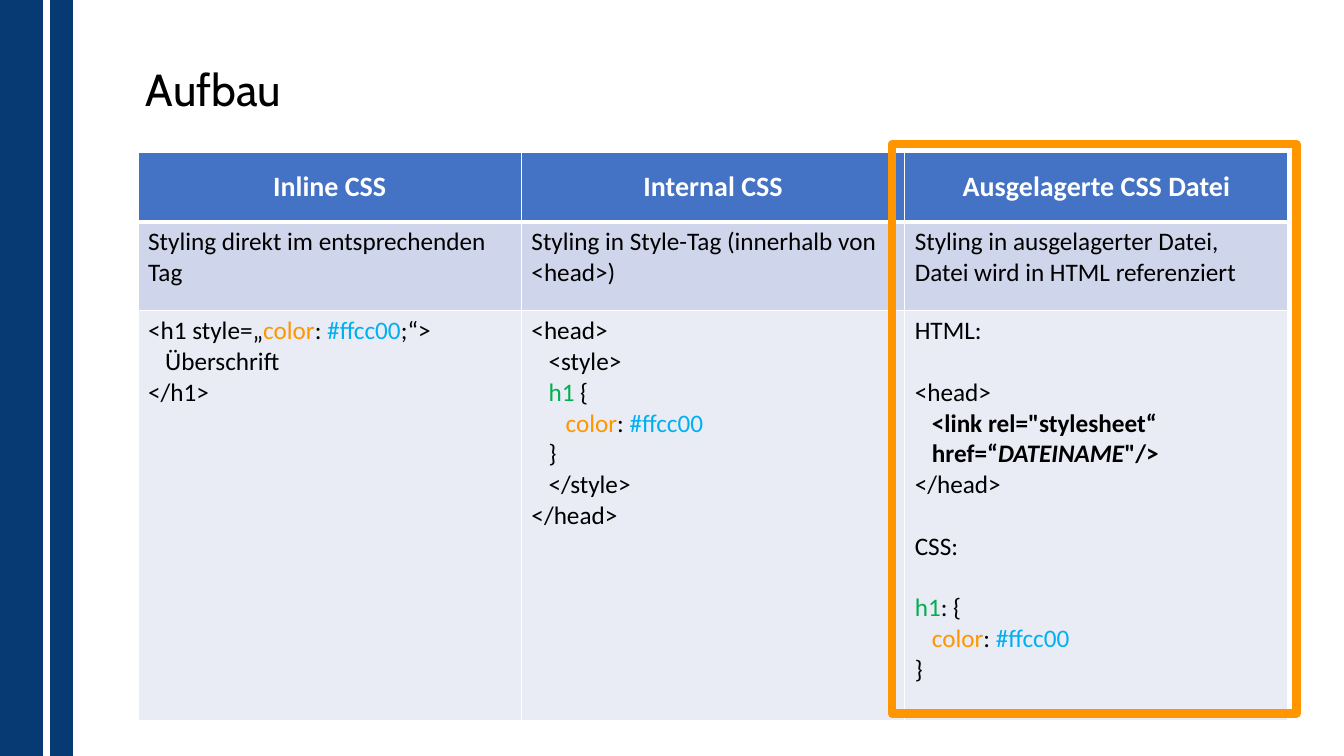
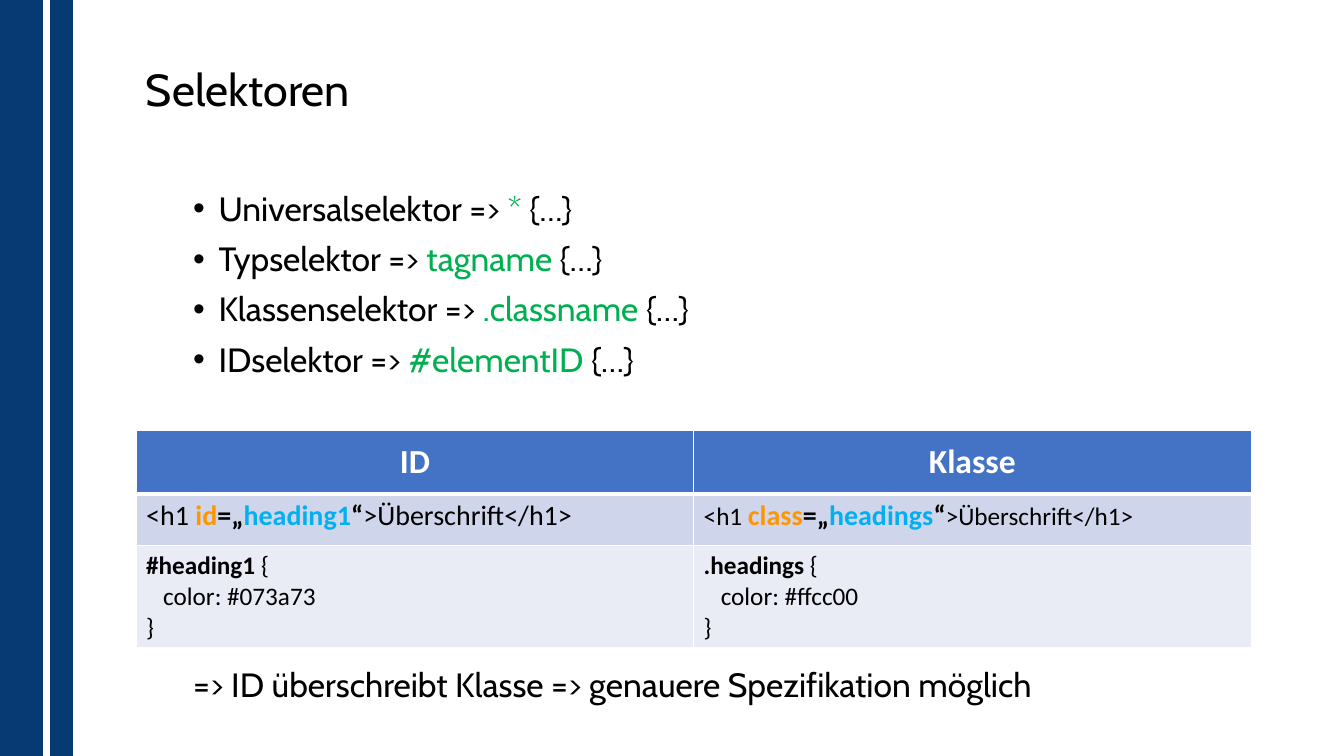
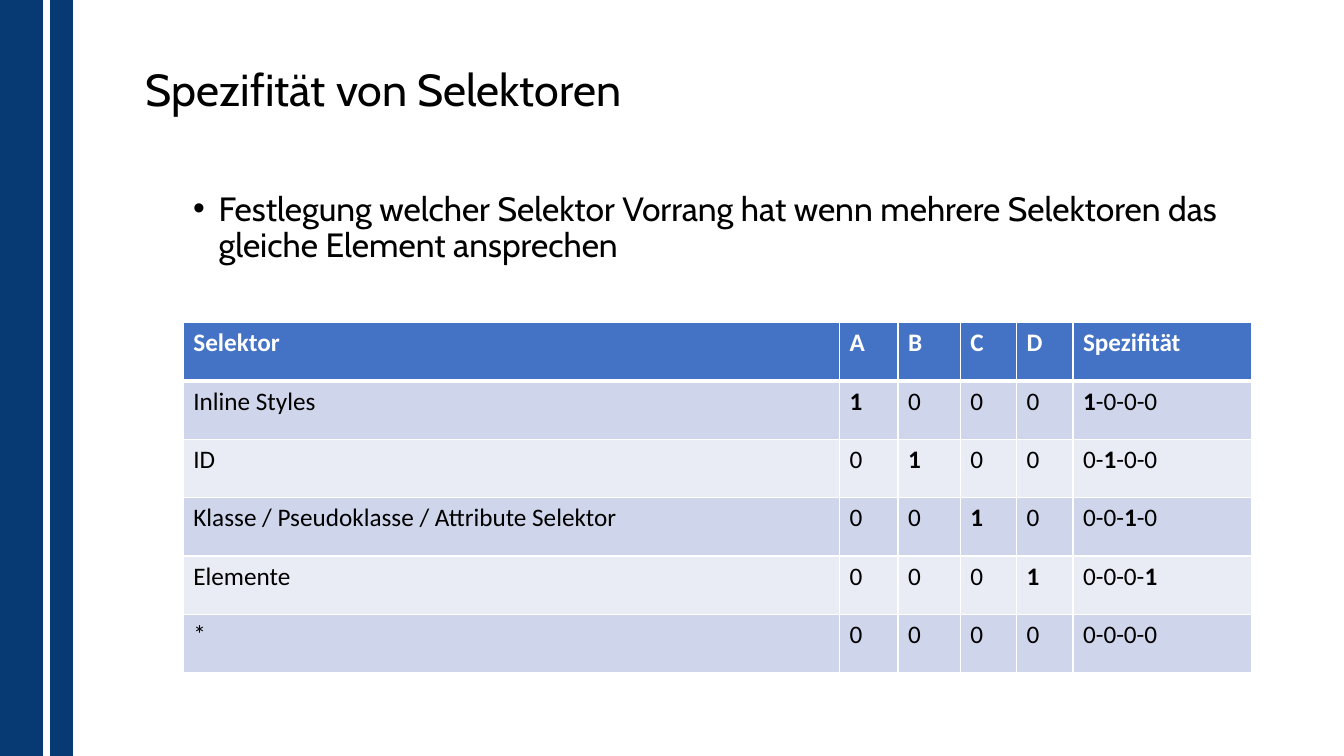
"""Builds three slides on CSS structure, selectors and specificity."""
import pptx
import pptx.util
import pptx.dml.color
import pptx.enum.shapes
import pptx.enum.text
import pptx.oxml
import pptx.oxml.ns

Cm, Pt = pptx.util.Cm, pptx.util.Pt
ALIGN, ANCHOR = pptx.enum.text.PP_ALIGN, pptx.enum.text.MSO_ANCHOR
RECT = pptx.enum.shapes.MSO_SHAPE.RECTANGLE

COLOR = {
    "navy": "073A73", "head": "4472C4", "odd": "CFD5EA", "even": "E9EBF5",
    "white": "FFFFFF", "black": "000000",
    "prop": "FF9600", "value": "00B0F0", "tag": "00B050",
}
STYLE = {
    "prop": {"color": "prop"},
    "value": {"color": "value"},
    "tag": {"color": "tag"},
    "bold": {"bold": True},
    "name": {"bold": True, "italic": True},
    "big": {"size": Pt(20)},
    "mark": {"size": Pt(20), "bold": True},
    "attr": {"size": Pt(20), "bold": True, "color": "prop"},
    "word": {"size": Pt(20), "bold": True, "color": "value"},
}
TITLE = {"name": "Cabin", "size": Pt(32), "color": "black"}
BODY = {"name": "Cabin", "size": Pt(24), "color": "black"}
CELL = {"name": "Calibri", "size": Pt(18), "color": "black", "bold": False}
HEAD = {**CELL, "color": "white", "bold": True}
MID = {"alignment": ALIGN.CENTER}
LIST = {"line_spacing": 0.9, "space_before": Pt(10)}

BANDS = [(0, 1.07), (1.27, 0.56)]
HIGH, STEP, GAP = 19.05, 0.43, 22

# Each paragraph: indent step, gap in lines before, then its runs.
RULE = [("color", "prop"), ": ", ("#ffcc00", "value")]
WAYS = [
    ["Inline CSS", "Internal CSS", "Ausgelagerte CSS Datei"],
    ["Styling direkt im entsprechenden Tag",
     "Styling in Style-Tag (innerhalb von <head>)",
     "Styling in ausgelagerter Datei, Datei wird in HTML referenziert"],
    [[(0, 0, "<h1 style=„", *RULE, ";“>"),
      (1, 0, "Überschrift"),
      (0, 0, "</h1>")],
     [(0, 0, "<head>"),
      (1, 0, "<style>"),
      (1, 0, ("h1", "tag"), " {"),
      (2, 0, *RULE),
      (1, 0, "}"),
      (1, 0, "</style>"),
      (0, 0, "</head>")],
     [(0, 0, "HTML:"),
      (0, 1, "<head>"),
      (1, 0, ("<link rel=\"stylesheet“", "bold")),
      (1, 0, ("href=“", "bold"), ("DATEINAME", "name"), ("\"/>", "bold")),
      (0, 0, "</head>"),
      (0, 1, "CSS:"),
      (0, 1, ("h1", "tag"), ": {"),
      (1, 0, *RULE),
      (0, 0, "}")]],
]
KINDS = [("Universalselektor", "*"), ("Typselektor", "tagname"),
         ("Klassenselektor", ".classname"), ("IDselektor", "#elementID")]
PAIR = [
    ["ID", "Klasse"],
    [[(0, 0, ("<h1 ", "big"), ("id", "attr"), ("=„", "mark"),
       ("heading1", "word"), ("“", "mark"), (">Überschrift</h1>", "big"))],
     [(0, 0, "<h1 ", ("class", "attr"), ("=„", "mark"),
       ("headings", "word"), ("“", "mark"), ">Überschrift</h1>")]],
    [[(0, 0, (name, "bold"), " {"), (1, 0, f"color: {tone}"), (0, 0, "}")]
     for name, tone in [("#heading1", "#073a73"), (".headings", "#ffcc00")]],
]
NOTE = "=> ID überschreibt Klasse => genauere Spezifikation möglich"
AIM = ("Festlegung welcher Selektor Vorrang hat wenn mehrere Selektoren "
       "das gleiche Element ansprechen")
RANKS = ["Inline Styles", "ID", "Klasse / Pseudoklasse / Attribute Selektor",
         "Elemente", "*"]


def rgb(key):
    return pptx.dml.color.RGBColor.from_string(COLOR[key])


def style(font, form):
    for key, val in form.items():
        if key == "color":
            font.color.rgb = rgb(val)
        else:
            setattr(font, key, val)


def write(frame, text, form, para):
    """Fills a text frame with a string or a list of paragraphs."""
    lines = [(0, 0, text)] if isinstance(text, str) else text
    for num, (step, gap, *runs) in enumerate(lines):
        par = frame.add_paragraph() if num else frame.paragraphs[0]
        if step:
            par._p.get_or_add_pPr().set("marL", str(Cm(step * STEP)))
        if gap:
            par.space_before = Pt(gap * GAP)
        for key, val in para.items():
            setattr(par, key, val)
        for part in runs:
            words, kind = (part, None) if isinstance(part, str) else part
            run = par.add_run()
            run.text = words
            style(run.font, {**form, **STYLE.get(kind, {})})


def add_text(slide, box, text, form, para, anchor=ANCHOR.TOP):
    frame = slide.shapes.add_textbox(*map(Cm, box)).text_frame
    frame.word_wrap = True
    frame.vertical_anchor = anchor
    write(frame, text, form, para)
    return frame


def add_list(slide, box, lines):
    for par in add_text(slide, box, lines, BODY, LIST).paragraphs:
        props = par._p.get_or_add_pPr()
        props.set("marL", str(Cm(0.64)))
        props.set("indent", str(Cm(-0.64)))
        for tag, key, val in [("buFont", "typeface", "Arial"),
                              ("buChar", "char", "•")]:
            item = pptx.oxml.parse_xml(
                f'<a:{tag} {pptx.oxml.ns.nsdecls("a")} {key}="{val}"/>')
            props.append(item)


def add_rect(slide, box, line, width, fill=None):
    rect = slide.shapes.add_shape(RECT, *map(Cm, box))
    rect.shadow.inherit = False
    rect.line.color.rgb = rgb(line)
    rect.line.width = Pt(width)
    if fill:
        rect.fill.solid()
        rect.fill.fore_color.rgb = rgb(fill)
    else:
        rect.fill.background()


def edge(cell, row):
    """Draws white cell borders, thick below the header."""
    wide = {"L": 1, "R": 1, "T": 3 if row == 1 else 1, "B": 1 if row else 3}
    props = cell._tc.get_or_add_tcPr()
    for num, (side, width) in enumerate(wide.items()):
        props.insert(num, pptx.oxml.parse_xml(
            f'<a:ln{side} {pptx.oxml.ns.nsdecls("a")} w="{Pt(width)}">'
            f'<a:solidFill><a:srgbClr val="{COLOR["white"]}"/></a:solidFill>'
            f'</a:ln{side}>'))


def add_grid(slide, spot, cols, rows, data, head, mid=True):
    size = (sum(cols), sum(rows))
    table = slide.shapes.add_table(
        len(rows), len(cols), *map(Cm, spot + size)).table
    for col, width in zip(table.columns, cols):
        col.width = Cm(width)
    for row, height in zip(table.rows, rows):
        row.height = Cm(height)
    for r, line in enumerate(data):
        for c, text in enumerate(line):
            cell = table.cell(r, c)
            cell.fill.solid()
            tone = ("odd" if r % 2 else "even") if r else "head"
            cell.fill.fore_color.rgb = rgb(tone)
            edge(cell, r)
            top = mid and r == 0
            cell.vertical_anchor = ANCHOR.MIDDLE if top else ANCHOR.TOP
            write(cell.text_frame, text, CELL if r else head,
                  MID if top else {})


def add_page(deck, title):
    slide = deck.slides.add_slide(deck.slide_layouts[6])
    for left, width in BANDS:
        add_rect(slide, (left, 0, width, HIGH), "navy", 1, "navy")
    add_text(slide, (3.43, 1.42, 17.35, 1.8), title, TITLE,
             {"line_spacing": 0.9}, ANCHOR.MIDDLE)
    return slide


def ones(text):
    """Returns a paragraph in which the digit 1 is bold."""
    pre, one, post = text.partition("1")
    runs = [(pre, None), (one, "bold"), (post, None)]
    return [(0, 0, *[run for run in runs if run[0]])]


def ranks():
    grid = [["Selektor", *"ABCD", "Spezifität"]]
    for num, name in enumerate(RANKS):
        bits = [str(int(num == col)) for col in range(4)]
        grid.append([name, *map(ones, bits), ones("-".join(bits))])
    return grid


def main():
    deck = pptx.Presentation()
    deck.slide_width, deck.slide_height = Cm(33.87), Cm(HIGH)

    slide = add_page(deck, "Aufbau")
    add_grid(slide, (3.48, 3.84), [9.66] * 3, [1.75, 2.24, 10.32], WAYS,
             {**HEAD, "size": Pt(20)})
    add_rect(slide, (22.48, 3.63, 10.19, 14.35), "prop", 6)

    slide = add_page(deck, "Selektoren")
    add_list(slide, (4.62, 4.72, 26.9, 5.2),
             [(0, 0, f"{kind} => ", (sign, "tag"), " {…}")
              for kind, sign in KINDS])
    add_grid(slide, (3.43, 10.85), [14.05] * 2, [1.6, 1.3, 2.57], PAIR,
             {**HEAD, "size": Pt(24)})
    add_text(slide, (4.62, 16.72, 26.9, 1.2), NOTE, BODY, LIST)

    slide = add_page(deck, "Spezifität von Selektoren")
    add_list(slide, (4.62, 4.72, 26.9, 2.34), AIM and [(0, 0, AIM)])
    add_grid(slide, (4.62, 8.13), [16.54, 1.47, 1.57, 1.42, 1.42, 4.5],
             [1.47] * 6, ranks(), HEAD, mid=False)

    deck.save("out.pptx")


if __name__ == "__main__":
    main()
